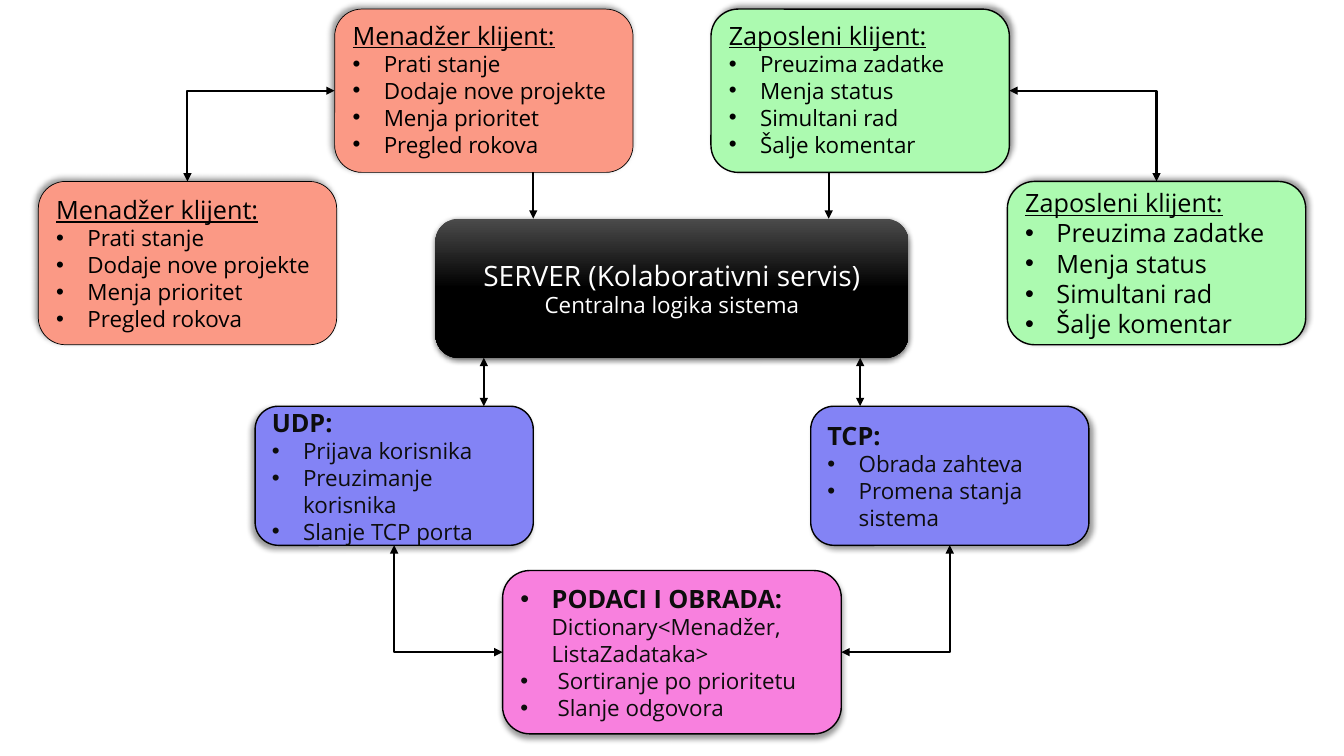
from lxml.etree import SubElement
from pptx import Presentation
from pptx.dml.color import RGBColor
from pptx.enum.shapes import MSO_CONNECTOR as Link, MSO_SHAPE as Shape
from pptx.enum.text import MSO_ANCHOR as Anchor, PP_ALIGN as Align
from pptx.oxml.ns import qn
from pptx.util import Emu, Inches, Pt

FONT = "Open Sans"
HEX = {
    "black": "000000", "gray": "4B4B4B", "white": "FFFFFF", "ink": "0D0D0D",
    "red": "FB9985", "green": "ACFAB0", "blue": "8383F5", "pink": "F880DE",
}
WIDE, HIGH = Inches(13.33), Inches(7.5)
TOP, LEFT, BASE, RIGHT = range(4)

# Boxes as left, top, width, height in percent of the slide
CARD, PORT = (22.2, 21.6), (20.7, 18.4)
HUB = (32.4, 28.93, 35.2, 18.4)
DATA = (37.4, 75.47, 25.2, 21.6)

MANAGER = ["Prati stanje", "Dodaje nove projekte", "Menja prioritet",
           "Pregled rokova"]
STAFF = ["Preuzima zadatke", "Menja status", "Simultani rad",
         "Šalje komentar"]


def rgb(name):
    return RGBColor.from_string(HEX[name])


def col(share):
    return Emu(round(WIDE * share / 100))


def row(share):
    return Emu(round(HIGH * share / 100))


def flip(area):
    """Mirror an area about the middle of the slide."""
    left, top, width, height = area
    return 100 - left - width, top, width, height


def shade(shape, alpha, blur, dist, angle):
    shape.shadow.inherit = False
    effects = shape._element.spPr.find(qn("a:effectLst"))
    outer = SubElement(effects, qn("a:outerShdw"), blurRad=str(Pt(blur)),
                       dist=str(Pt(dist)), dir=str(angle * 60000))
    color = SubElement(outer, qn("a:srgbClr"), val=HEX["black"])
    SubElement(color, qn("a:alpha"), val=str(alpha * 1000))


def block(slide, area):
    left, top, width, height = area
    shape = slide.shapes.add_shape(Shape.ROUNDED_RECTANGLE, col(left),
                                   row(top), col(width), row(height))
    shape.text_frame.word_wrap = True
    shape.text_frame.vertical_anchor = Anchor.MIDDLE
    return shape


def write(shape, lines, ink, align=Align.LEFT):
    """Fill a shape with lines of (text, size, bulleted)."""
    frame = shape.text_frame
    for index, (text, size, dot) in enumerate(lines):
        para = frame.add_paragraph() if index else frame.paragraphs[0]
        para.alignment = align
        if dot:
            props = para._p.get_or_add_pPr()
            indent = Inches(0.31)
            props.set("marL", str(indent))
            props.set("indent", str(-indent))
            SubElement(props, qn("a:buFont"), typeface="Arial")
            SubElement(props, qn("a:buChar"), char="•")
        para.add_run().text = text
        font = para.font
        font.name, font.size = FONT, Pt(size)
        font.color.rgb = rgb(ink)
    return frame.paragraphs


def panel(slide, area, fill, angle, line=1):
    shape = block(slide, area)
    shape.fill.solid()
    shape.fill.fore_color.rgb = rgb(fill)
    shape.line.color.rgb = rgb("black")
    shape.line.width = Pt(line)
    shade(shape, 40, 4, 3, angle)
    return shape


def points(head, items, size=16):
    return [(head, 18, False)] + [(item, size, True) for item in items]


def client(slide, area, fill, angle, line, head, items, size=16):
    shape = panel(slide, area, fill, angle, line)
    write(shape, points(head, items, size), "black")[0].font.underline = True
    return shape


def port(slide, area, angle, head, items):
    shape = panel(slide, area, "blue", angle)
    write(shape, points(head, items), "ink")[0].font.bold = True
    return shape


def server(slide, area):
    shape = block(slide, area)
    shape.fill.gradient()
    shape.fill.gradient_angle = 270
    stops = shape.fill.gradient_stops
    for stop, name, place in zip(stops, ("gray", "black"), (0, 0.5)):
        stop.color.rgb = rgb(name)
        stop.position = place
    shape.line.fill.background()
    shade(shape, 63, 4.5, 1.5, 90)
    write(shape, [("SERVER (Kolaborativni servis)", 20, False),
                  ("Centralna logika sistema", 16, False)],
          "white", Align.CENTER)


def store(slide, area):
    shape = panel(slide, area, "pink", 90)
    first = write(shape, [("PODACI I OBRADA: ", 16, True),
                          (" Sortiranje po prioritetu", 16, True),
                          (" Slanje odgovora", 16, True)], "ink")[0]
    title = first.runs[0].font
    title.size, title.bold = Pt(18), True
    first.add_run().text = "Dictionary<Menadžer, ListaZadataka>"
    return shape


def style(link, both=True):
    link.line.color.rgb = rgb("black")
    link.line.width = Pt(1.5)
    ends = ("headEnd", "tailEnd") if both else ("tailEnd",)
    for end in ends:
        SubElement(link.line._get_or_add_ln(), qn("a:" + end),
                   type="triangle")
    SubElement(link._element.spPr, qn("a:effectLst"))


def drop(slide, x, top, base, both):
    link = slide.shapes.add_connector(Link.STRAIGHT, col(x), row(top),
                                      col(x), row(base))
    style(link, both)


def bend(slide, start, side, end, goal):
    """Join a side of one box to the top or base of another, one corner."""
    link = slide.shapes.add_connector(Link.ELBOW, 0, 0, 0, 0)
    link.begin_connect(start, side)
    link.end_connect(end, goal)
    shape = link._element.spPr.find(qn("a:prstGeom"))
    shape.set("prst", "bentConnector2")
    style(link)


def diagram(slide):
    low, high = (2.85, 24, *CARD), (24.9, 1.2, *CARD)
    gate = (18.98, 53.73, *PORT)
    server(slide, HUB)
    boss = ("red", 225, 0.5, "Menadžer klijent:", MANAGER)
    staff = ("green", 315, 1, "Zaposleni klijent:", STAFF)
    staff_low = client(slide, flip(low), *staff, size=18)
    boss_low = client(slide, low, *boss)
    boss_top = client(slide, high, *boss)
    staff_top = client(slide, flip(high), *staff)
    for shape in (boss_top, staff_top):
        shape.text_frame.margin_bottom = Inches(0.09)
    udp = port(slide, gate, 135, "UDP:",
               ["Prijava korisnika", "Preuzimanje korisnika",
                "Slanje TCP porta"])
    tcp = port(slide, flip(gate), 45, "TCP:",
               ["Obrada zahteva", "Promena stanja sistema"])
    data = store(slide, DATA)

    for x in (39.68, 61.66):
        drop(slide, x, high[1] + high[3], HUB[1], False)
    for x in (36, 64):
        drop(slide, x, HUB[1] + HUB[3], gate[1], True)
    bend(slide, boss_top, LEFT, boss_low, TOP)
    bend(slide, staff_top, RIGHT, staff_low, TOP)
    bend(slide, data, LEFT, udp, BASE)
    bend(slide, data, RIGHT, tcp, BASE)


def main():
    deck = Presentation()
    deck.slide_width, deck.slide_height = WIDE, HIGH
    diagram(deck.slides.add_slide(deck.slide_layouts[6]))
    deck.save("out.pptx")


if __name__ == "__main__":
    main()
